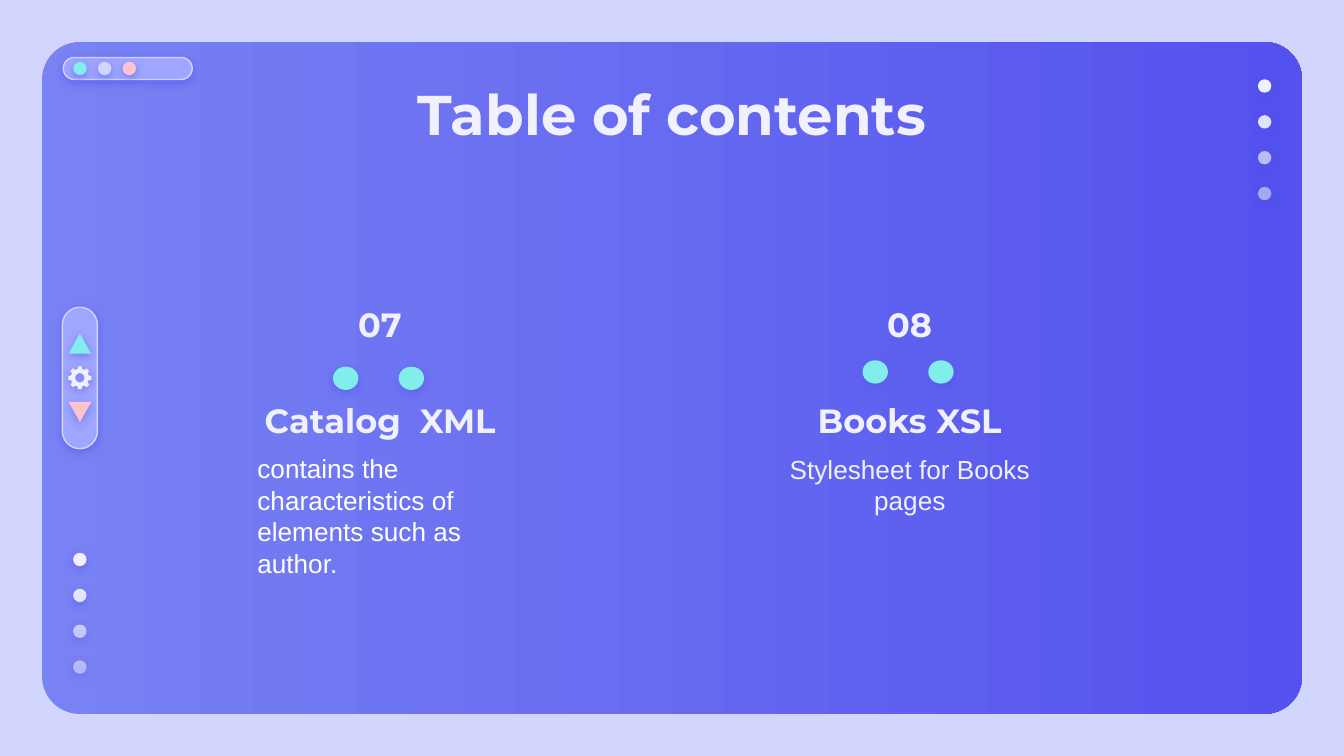
"""Build a table of contents slide with two numbered sections."""
import math

from lxml import etree
from pptx import Presentation
from pptx.dml.color import RGBColor
from pptx.enum import shapes, text
from pptx.oxml import ns
from pptx.util import Pt

LAVENDER = RGBColor(0xD2, 0xD6, 0xFF)
INDIGO = RGBColor(0x53, 0x52, 0xEE)
PERIWINKLE = RGBColor(0x78, 0x82, 0xF3)
LILAC = RGBColor(0x9E, 0xA6, 0xFF)
AQUA = RGBColor(0x81, 0xEE, 0xEB)
PINK = RGBColor(0xFF, 0xC3, 0xD0)
PALE = RGBColor(0xF1, 0xF0, 0xFF)
WHITE = RGBColor(0xFF, 0xFF, 0xFF)
HEAD, BODY = "Montserrat", "Arial"
SHAPE = shapes.MSO_SHAPE
ALIGN = text.PP_ALIGN
ANCHOR = text.MSO_ANCHOR


class Deck:
    """Hold the slide and draw its kinds of element in one style."""

    def __init__(self, prs):
        self.s = prs.slides.add_slide(prs.slide_layouts[5])
        self.s.background.fill.solid()
        self.s.background.fill.fore_color.rgb = LAVENDER

    def add_shadow(self, sp):
        """Give a shape the soft indigo shadow."""
        sp.shadow.inherit = False
        effects = sp.element.spPr.find(ns.qn("a:effectLst"))
        shadow = etree.SubElement(
            effects, ns.qn("a:outerShdw"), blurRad=str(Pt(4.5)),
            dist=str(Pt(1.5)), dir="5400000", algn="bl", rotWithShape="0")
        color = etree.SubElement(shadow, ns.qn("a:srgbClr"), val=str(INDIGO))
        etree.SubElement(color, ns.qn("a:alpha"), val="50000")

    def paint(self, sp, color, alpha=100, line=None):
        """Fill a shape, outline it if asked, and shade it."""
        sp.fill.solid()
        sp.fill.fore_color.rgb = color
        if alpha < 100:
            clr = sp.element.spPr.find(".//" + ns.qn("a:srgbClr"))
            etree.SubElement(clr, ns.qn("a:alpha"), val=str(alpha * 1000))
        if line is None:
            sp.line.fill.background()
        else:
            sp.line.color.rgb = line
            sp.line.width = Pt(0.75)
        self.add_shadow(sp)

    def shape(self, kind, box, color, alpha=100, line=None):
        """Add a preset shape."""
        sp = self.s.shapes.add_shape(kind, *map(Pt, box))
        self.paint(sp, color, alpha, line)
        return sp

    def panel(self, box):
        """Add the large gradient panel."""
        sp = self.s.shapes.add_shape(SHAPE.ROUNDED_RECTANGLE, *map(Pt, box))
        sp.adjustments[0] = 0.056
        sp.shadow.inherit = False
        sp.line.fill.background()
        sp.fill.gradient()
        sp.fill.gradient_angle = 0
        for stop, color in zip(sp.fill.gradient_stops, (PERIWINKLE, INDIGO)):
            stop.color.rgb = color

    def pill(self, box):
        """Add a fully rounded bar."""
        sp = self.shape(SHAPE.ROUNDED_RECTANGLE, box, LILAC, line=LAVENDER)
        sp.adjustments[0] = 0.5

    def fading_dots(self, left, top):
        """Add a column of dots that fade downwards."""
        for i, alpha in enumerate((100, 90, 67, 54)):
            self.shape(SHAPE.OVAL, (left, top + 19.2 * i, 7.2, 7.2), PALE, alpha)

    def gear(self, cx, cy):
        """Add an eight-toothed gear with a round hole."""
        points = []
        for tooth in range(8):
            for radius, turn in ((4.9, -13), (6.2, -10), (6.2, 10), (4.9, 13)):
                points.append((radius, math.radians(45 * tooth + turn)))
        hole = [(2.5, math.radians(-15 * i)) for i in range(24)]
        rim, bore = ([(Pt(cx + r * math.cos(a)), Pt(cy + r * math.sin(a)))
                      for r, a in ring] for ring in (points, hole))
        fb = self.s.shapes.build_freeform(*rim[0])
        fb.add_line_segments(rim[1:], close=True)
        fb.move_to(*bore[0])
        fb.add_line_segments(bore[1:], close=True)
        self.paint(fb.convert_to_shape(), PALE)

    def set_text(self, sp, words, size, font=HEAD, color=PALE,
                 align=ALIGN.CENTER, anchor=ANCHOR.MIDDLE):
        """Set the text of a shape."""
        tf = sp.text_frame
        tf.word_wrap = True
        tf.auto_size = text.MSO_AUTO_SIZE.NONE
        tf.vertical_anchor = anchor
        tf.margin_left = tf.margin_right = Pt(7.2)
        tf.margin_top = tf.margin_bottom = Pt(7.2)
        p = tf.paragraphs[0]
        p.text = words
        p.alignment = align
        p.font.size = Pt(size)
        p.font.name = font
        p.font.bold = font == HEAD
        p.font.color.rgb = color

    def title(self, box, words):
        """Place the title above the panel."""
        sp = self.s.shapes.title
        sp.left, sp.top, sp.width, sp.height = map(Pt, box)
        self.s.shapes.element.append(sp.element)
        self.set_text(sp, words, 30, anchor=ANCHOR.TOP)

    def label(self, box, words, size, **style):
        """Add a text box."""
        sp = self.s.shapes.add_textbox(*map(Pt, box))
        self.set_text(sp, words, size, **style)

    def section(self, cx, number, name, dots_top):
        """Add a section's number, pair of dots and name."""
        self.label((cx - 34.5, 163.8, 69, 19.4), number, 18)
        for left in (cx - 25.2, cx + 10):
            self.shape(SHAPE.OVAL, (left, dots_top, 13.6, 12.5), AQUA)
        self.label((cx - 90.7, 215.6, 181.4, 19.4), name, 18)


def main():
    """Build and save the slide."""
    prs = Presentation()
    prs.slide_width, prs.slide_height = Pt(720), Pt(405)
    deck = Deck(prs)
    deck.panel((22.5, 22.5, 675, 360))
    deck.title((56.7, 35.3, 606.6, 45.4), "Table of contents")

    deck.pill((33.9, 30.8, 69.1, 11.8))
    for i, color in enumerate((AQUA, LAVENDER, PINK)):
        deck.shape(SHAPE.OVAL, (39.3 + 13.2 * i, 33.1, 7.2, 7.2), color)
    deck.fading_dots(673.9, 42.5)
    deck.fading_dots(39.2, 296.2)

    deck.pill((33.4, 164.6, 18.8, 75.8))
    deck.shape(SHAPE.ISOSCELES_TRIANGLE, (36.7, 178.7, 12.2, 10.8), AQUA)
    deck.gear(42.8, 202.4)
    down = deck.shape(SHAPE.ISOSCELES_TRIANGLE, (36.7, 215.3, 12.2, 10.8), PINK)
    down.rotation = 180

    deck.section(203.6, "07", "Catalog  XML", 196.4)
    deck.label((130.8, 235.4, 157, 77.8),
               "contains the characteristics of elements such as author.", 14,
               font=BODY, color=WHITE, align=ALIGN.LEFT, anchor=ANCHOR.TOP)
    deck.section(487.3, "08", "Books XSL", 193)
    deck.label((414, 240.5, 146.9, 38.2), "Stylesheet for Books pages", 14,
               font=BODY)
    prs.save("out.pptx")


if __name__ == "__main__":
    main()
